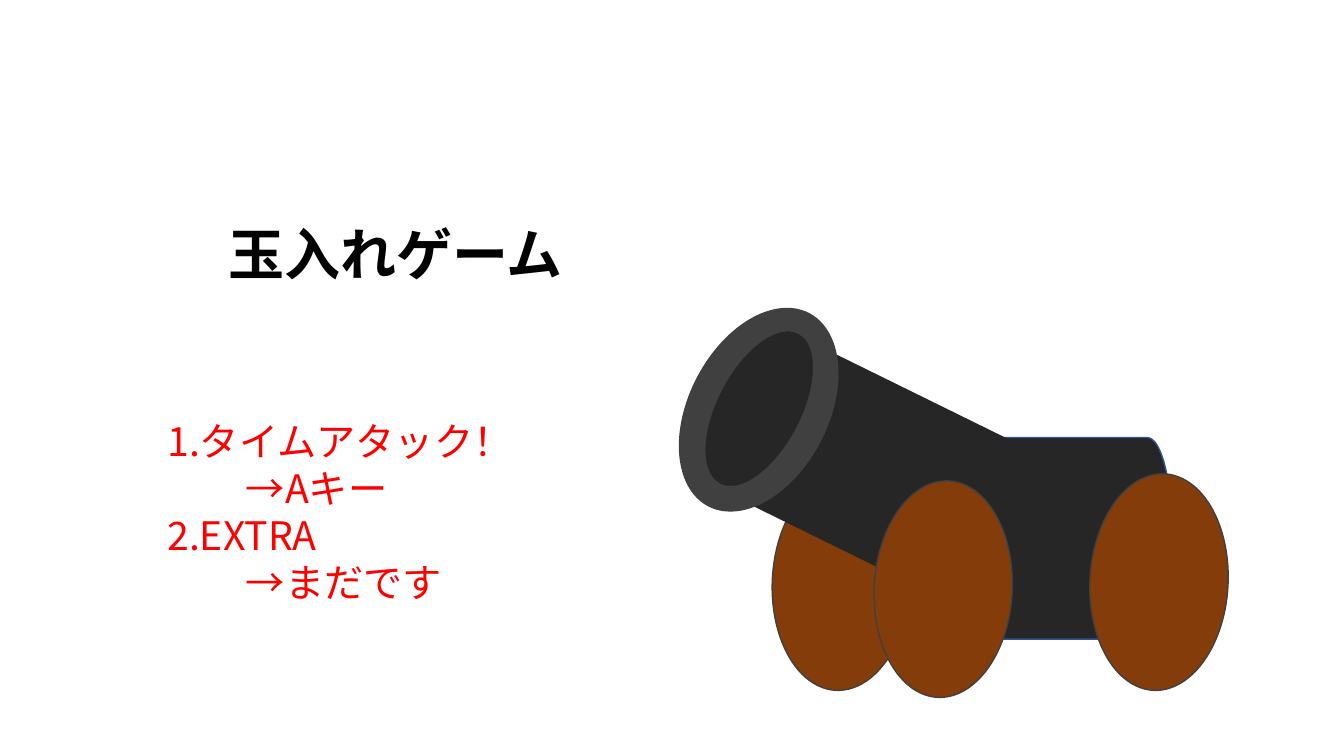
from dataclasses import dataclass
from typing import Any

import lxml.etree
import pptx
import pptx.dml.color
import pptx.enum.shapes
import pptx.enum.text
import pptx.oxml.ns
import pptx.util

Inches = pptx.util.Inches
Pt = pptx.util.Pt
RGBColor = pptx.dml.color.RGBColor
ShapeType = pptx.enum.shapes.MSO_SHAPE


@dataclass(frozen=True)
class Theme:
    font: str = "Noto Sans CJK JP"
    title_size: int = 40
    list_size: int = 28
    line_ratio: float = 1.2
    title_color: str = "000000"
    list_color: str = "FF0000"
    wood: str = "843C0B"
    iron: str = "262626"
    rim: str = "404040"
    edge: str = "325491"


@dataclass(frozen=True)
class Part:
    kind: Any
    left: float
    top: float
    width: float
    height: float
    rotation: float
    fill: str
    line: str


@dataclass(frozen=True)
class Line:
    text: str
    indent: float = 0


THEME = Theme()


def wheel(left: float, top: float) -> Part:
    return Part(ShapeType.OVAL, left, top, 1.37, 2.15, 3, THEME.wood, THEME.rim)


CANNON = [
    wheel(7.66, 4.7),
    Part(ShapeType.CAN, 9.22, 3.93, 2, 2.82, 270, THEME.iron, THEME.edge),
    Part(ShapeType.CAN, 7.91, 3.47, 1.7, 2.46, 296.2, THEME.iron, THEME.iron),
    wheel(8.67, 4.77),
    Part(ShapeType.OVAL, 6.84, 2.99, 1.37, 2.15, 27.6, THEME.rim, THEME.rim),
    Part(ShapeType.OVAL, 7.11, 3.21, 0.84, 1.69, 27.6, THEME.iron, THEME.rim),
    wheel(10.81, 4.7),
]
TITLE = [Line("玉入れゲーム")]
MODES = [
    Line("1.タイムアタック！"),
    Line("→Aキー", 0.78),
    Line("2.EXTRA"),
    Line("→まだです", 0.78),
]


def apply_format(target: Any, values: dict[str, Any]) -> None:
    for name, value in values.items():
        setattr(target, name, value)


def draw_part(slide: Any, part: Part) -> None:
    shape = slide.shapes.add_shape(
        part.kind, Inches(part.left), Inches(part.top), Inches(part.width), Inches(part.height)
    )
    shape.rotation = part.rotation
    shape.shadow.inherit = False
    shape.fill.solid()
    shape.fill.fore_color.rgb = RGBColor.from_string(part.fill)
    shape.line.color.rgb = RGBColor.from_string(part.line)
    shape.line.width = Pt(1)


def write_lines(
    placeholder: Any, box: tuple[float, ...], lines: list[Line], size: int, color: str, bold: bool
) -> None:
    apply_format(placeholder, dict(zip(("left", "top", "width", "height"), map(Inches, box))))
    frame = placeholder.text_frame
    apply_format(frame, {
        "word_wrap": True,
        "auto_size": pptx.enum.text.MSO_AUTO_SIZE.NONE,
        "vertical_anchor": pptx.enum.text.MSO_ANCHOR.TOP,
    })
    frame.text = "\n".join(line.text for line in lines)
    for paragraph, line in zip(frame.paragraphs, lines):
        apply_format(paragraph, {
            "alignment": pptx.enum.text.PP_ALIGN.LEFT,
            "space_before": Pt(0),
            "line_spacing": Pt(size * THEME.line_ratio),
        })
        properties = paragraph._p.get_or_add_pPr()
        properties.set("marL", str(Inches(line.indent)))
        properties.set("indent", "0")
        lxml.etree.SubElement(properties, pptx.oxml.ns.qn("a:buNone"))
        font = paragraph.runs[0].font
        apply_format(font, {"name": THEME.font, "size": Pt(size), "bold": bold})
        font.color.rgb = RGBColor.from_string(color)
        east_asian = lxml.etree.SubElement(font._element, pptx.oxml.ns.qn("a:ea"))
        east_asian.set("typeface", THEME.font)


def main() -> None:
    presentation = pptx.Presentation()
    apply_format(presentation, {"slide_width": Inches(13.33), "slide_height": Inches(7.5)})
    slide = presentation.slides.add_slide(presentation.slide_layouts[1])
    write_lines(
        slide.shapes.title, (2.17, 2.13, 5.27, 0.77), TITLE,
        THEME.title_size, THEME.title_color, True,
    )
    write_lines(
        slide.placeholders[1], (1.56, 4.09, 4.59, 1.99), MODES,
        THEME.list_size, THEME.list_color, False,
    )
    for part in CANNON:
        draw_part(slide, part)
    presentation.save("out.pptx")


main()
